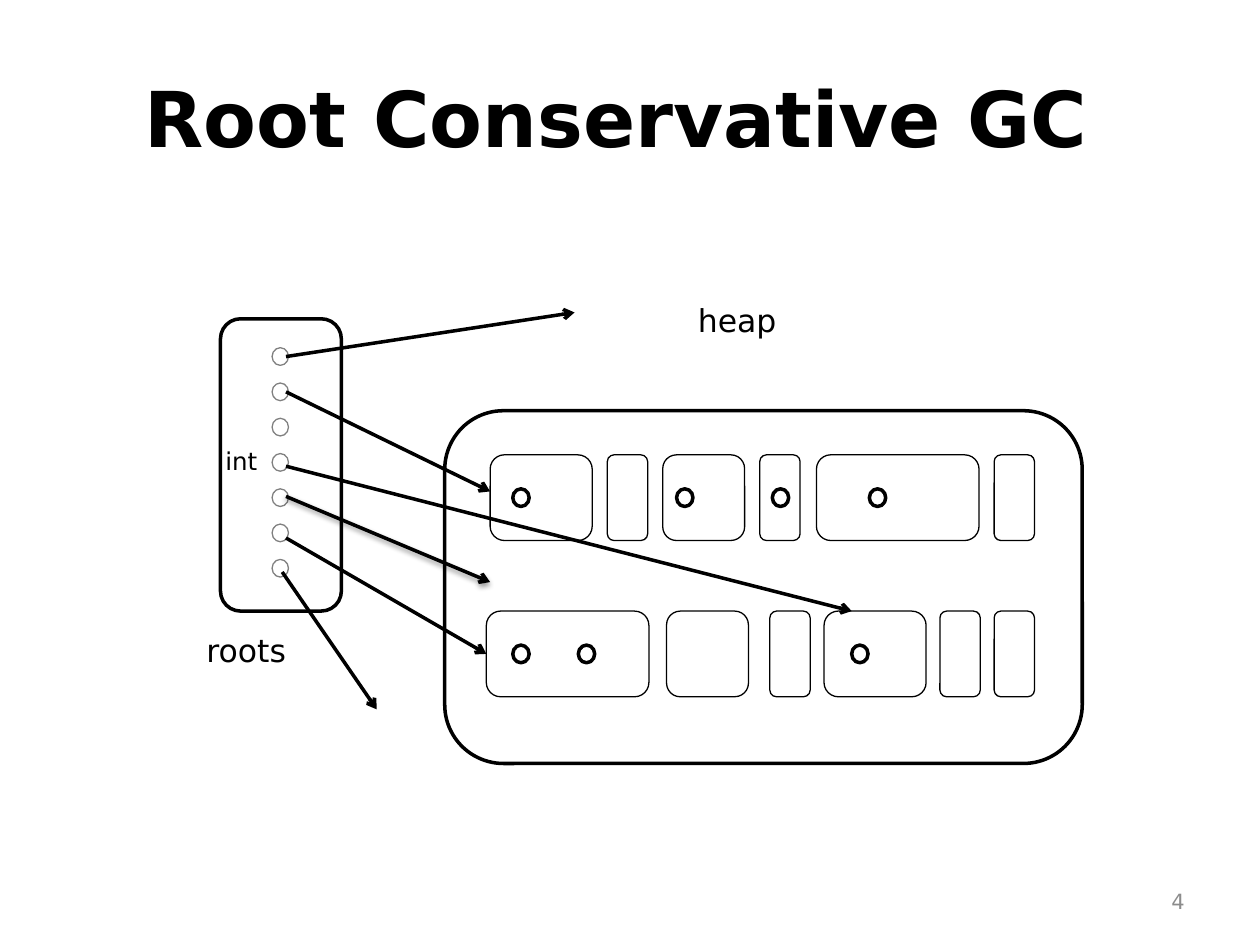
from typing import NamedTuple

import pptx
import pptx.dml.color
import pptx.enum.shapes
import pptx.enum.text
import pptx.oxml
import pptx.oxml.ns
import pptx.util

Inches = pptx.util.Inches
SHAPE = pptx.enum.shapes.MSO_SHAPE
ALIGN = pptx.enum.text.PP_ALIGN
ANCHOR = pptx.enum.text.MSO_ANCHOR
COLORS = {"ink": "000000", "paper": "FFFFFF", "root": "808080", "number": "8C8C8C"}
FONT = "DejaVu Sans"
THIN, THICK = 0.75, 2
SLOT_W, SLOT_H = 0.13, 0.14
CELL_H = 0.68


class Row(NamedTuple):
    """One row of heap objects: top, (left, width) of each, lefts of pointer slots."""
    top: float
    cells: tuple
    slots: tuple


class Label(NamedTuple):
    text: str
    box: tuple
    size: float
    color: str = "ink"
    align: ALIGN = ALIGN.LEFT
    anchor: ANCHOR = ANCHOR.TOP


class Arrow(NamedTuple):
    start: tuple
    end: tuple
    shadow: bool = False


ROWS = (
    Row(3.61, ((3.89, 0.81), (4.82, 0.32), (5.26, 0.65), (6.03, 0.32),
               (6.48, 1.29), (7.89, 0.32)), (4.07, 5.37, 6.13, 6.9)),
    Row(4.85, ((3.86, 1.29), (5.29, 0.65), (6.11, 0.32), (6.54, 0.81),
               (7.46, 0.32), (7.89, 0.32)), (4.07, 4.59, 6.76)),
)
LABELS = (
    Label("roots", (1.54, 4.96, 1.39, 0.7), 18),
    Label("heap", (5.44, 2.34, 1.35, 0.7), 18),
    Label("int", (1.69, 3.49, 1.18, 0.34), 14),
    Label("4", (7.17, 6.95, 2.33, 0.4), 12, "number", ALIGN.RIGHT, ANCHOR.MIDDLE),
)
ARROWS = (
    Arrow((2.27, 2.83), (4.56, 2.48)),
    Arrow((2.24, 4.54), (2.99, 5.63)),
    Arrow((2.27, 3.11), (3.89, 3.9)),
    Arrow((2.27, 3.7), (6.76, 4.85)),
    Arrow((2.27, 3.94), (3.89, 4.62), shadow=True),
)
ROOT_TO_OBJECT = Arrow((2.27, 4.27), (3.86, 5.19))


def rgb(name: str) -> pptx.dml.color.RGBColor:
    return pptx.dml.color.RGBColor.from_string(COLORS[name])


def add_outline(s, kind, box: tuple, width: float, color: str = "ink"):
    """Add a white preset shape with an outline."""
    sp = s.shapes.add_shape(kind, *map(Inches, box))
    sp.shadow.inherit = False
    sp.fill.solid()
    sp.fill.fore_color.rgb = rgb("paper")
    sp.line.color.rgb = rgb(color)
    sp.line.width = pptx.util.Pt(width)
    return sp


def add_slot(s, left: float, top: float, width: float, color: str = "ink") -> None:
    add_outline(s, SHAPE.OVAL, (left, top, SLOT_W, SLOT_H), width, color)


def add_row(s, row: Row) -> list:
    cells = [add_outline(s, SHAPE.ROUNDED_RECTANGLE, (left, row.top, width, CELL_H), THIN)
             for left, width in row.cells]
    for left in row.slots:
        add_slot(s, left, row.top + (CELL_H - SLOT_H) / 2, THICK)
    return cells


def add_label(s, label: Label) -> None:
    tf = s.shapes.add_textbox(*map(Inches, label.box)).text_frame
    tf.word_wrap = True
    tf.vertical_anchor = label.anchor
    p = tf.paragraphs[0]
    p.text = label.text
    p.alignment = label.align
    p.font.name = FONT
    p.font.size = pptx.util.Pt(label.size)
    p.font.color.rgb = rgb(label.color)


def add_arrow(s, arrow: Arrow):
    line = s.shapes.add_connector(pptx.enum.shapes.MSO_CONNECTOR.STRAIGHT,
                                  *map(Inches, arrow.start + arrow.end))
    line.line.color.rgb = rgb("ink")
    line.line.width = pptx.util.Pt(THICK)
    tail = pptx.oxml.parse_xml(
        f'<a:tailEnd {pptx.oxml.ns.nsdecls("a")} type="arrow"/>')
    line.line._get_or_add_ln().append(tail)
    shadow = (f'<a:outerShdw blurRad="{pptx.util.Pt(3.1)}" dist="{pptx.util.Pt(1.6)}" '
              f'dir="5400000" rotWithShape="0"><a:srgbClr val="{COLORS["ink"]}">'
              '<a:alpha val="38000"/></a:srgbClr></a:outerShdw>') if arrow.shadow else ""
    line._element.spPr.append(pptx.oxml.parse_xml(
        f'<a:effectLst {pptx.oxml.ns.nsdecls("a")}>{shadow}</a:effectLst>'))
    return line


def add_title(s, text: str) -> None:
    title = s.shapes.title
    title.left, title.top, title.width, title.height = map(Inches, (0.5, 0.3, 9, 1.25))
    tf = title.text_frame
    tf.vertical_anchor = ANCHOR.MIDDLE
    p = tf.paragraphs[0]
    p.text = text
    p.alignment = ALIGN.CENTER
    p.font.name = FONT
    p.font.size = pptx.util.Pt(44)
    p.font.bold = True
    p.font.color.rgb = rgb("ink")


def main() -> None:
    prs = pptx.Presentation()
    prs.slide_width, prs.slide_height = Inches(10), Inches(7.5)
    s = prs.slides.add_slide(prs.slide_layouts[5])
    add_title(s, "Root Conservative GC ")

    add_outline(s, SHAPE.ROUNDED_RECTANGLE, (3.53, 3.26, 5.06, 2.8), THICK)
    add_outline(s, SHAPE.ROUNDED_RECTANGLE, (1.75, 2.53, 0.96, 2.32), THICK)
    _, lower_cells = [add_row(s, row) for row in ROWS]
    for i in range(7):
        add_slot(s, 2.16, 2.76 + 0.28 * i, THIN, "root")

    for label in LABELS:
        add_label(s, label)
    for arrow in ARROWS:
        add_arrow(s, arrow)
    add_arrow(s, ROOT_TO_OBJECT).end_connect(lower_cells[0], 1)
    prs.save("out.pptx")


if __name__ == "__main__":
    main()
